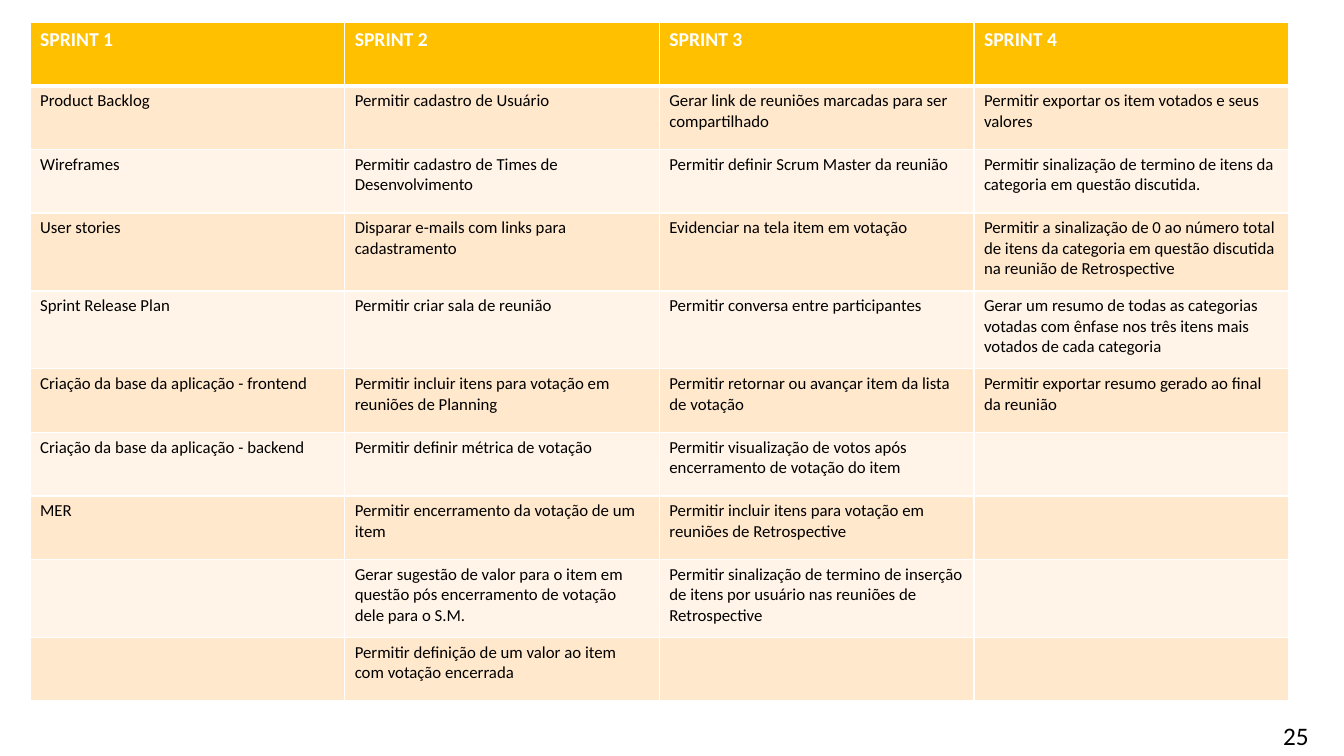
"""Build a slide with the sprint backlog table."""
from itertools import zip_longest

from pptx import Presentation
from pptx.dml.color import RGBColor
from pptx.enum.text import PP_ALIGN as Align
from pptx.oxml import parse_xml
from pptx.oxml.ns import nsdecls
from pptx.util import Pt

SPRINTS = {
    "SPRINT 1": [
        "Product Backlog",
        "Wireframes",
        "User stories",
        "Sprint Release Plan",
        "Criação da base da aplicação - frontend",
        "Criação da base da aplicação - backend",
        "MER",
    ],
    "SPRINT 2": [
        "Permitir cadastro de Usuário",
        "Permitir cadastro de Times de Desenvolvimento",
        "Disparar e-mails com links para cadastramento",
        "Permitir criar sala de reunião",
        "Permitir incluir itens para votação em reuniões de Planning",
        "Permitir definir métrica de votação",
        "Permitir encerramento da votação de um item",
        "Gerar sugestão de valor para o item em questão pós encerramento de votação dele para o S.M.",
        "Permitir definição de um valor ao item com votação encerrada",
    ],
    "SPRINT 3": [
        "Gerar link de reuniões marcadas para ser compartilhado",
        "Permitir definir Scrum Master da reunião",
        "Evidenciar na tela item em votação",
        "Permitir conversa entre participantes",
        "Permitir retornar ou avançar item da lista de votação",
        "Permitir visualização de votos após encerramento de votação do item",
        "Permitir incluir itens para votação em reuniões de Retrospective",
        "Permitir sinalização de termino de inserção de itens por usuário nas reuniões de Retrospective",
    ],
    "SPRINT 4": [
        "Permitir exportar os item votados e seus valores",
        "Permitir sinalização de termino de itens da categoria em questão discutida.",
        "Permitir a sinalização de 0 ao número total de itens da categoria em questão discutida "
        "na reunião de Retrospective",
        "Gerar um resumo de todas as categorias votadas com ênfase nos três itens mais votados "
        "de cada categoria",
        "Permitir exportar resumo gerado ao final da reunião",
    ],
}
PAGE_NUMBER = "25"

FONT = "Calibri"
WHITE = RGBColor(0xFF, 0xFF, 0xFF)
BLACK = RGBColor(0x00, 0x00, 0x00)
AMBER = RGBColor(0xFF, 0xC0, 0x00)
BANDS = [RGBColor(0xFF, 0xF4, 0xE7), RGBColor(0xFF, 0xE8, 0xCC)]

TABLE_LEFT, TABLE_TOP, COLUMN_WIDTH = 21.5, 16, 224.75
ROW_HEIGHT, TALL_ROW_HEIGHT = 45.4, 55.7
TALL_ROWS = {3, 4, 8}


def style_text(text_frame, size, color, bold=False):
    for paragraph in text_frame.paragraphs:
        for run in paragraph.runs:
            run.font.name = FONT
            run.font.size = Pt(size)
            run.font.bold = bold
            run.font.color.rgb = color


def add_borders(cell, bottom_width):
    properties = cell._tc.get_or_add_tcPr()
    widths = {"lnL": 1, "lnR": 1, "lnT": 1, "lnB": bottom_width}
    for position, (side, width) in enumerate(widths.items()):
        properties.insert(position, parse_xml(
            f'<a:{side} {nsdecls("a")} w="{Pt(width)}"><a:solidFill>'
            f'<a:srgbClr val="{WHITE}"/></a:solidFill></a:{side}>'))


def add_sprint_table(slide):
    rows = [tuple(SPRINTS), *zip_longest(*SPRINTS.values(), fillvalue="")]
    heights = [TALL_ROW_HEIGHT if index in TALL_ROWS else ROW_HEIGHT
               for index in range(len(rows))]
    table = slide.shapes.add_table(
        len(rows), len(SPRINTS), Pt(TABLE_LEFT), Pt(TABLE_TOP),
        Pt(COLUMN_WIDTH * len(SPRINTS)), Pt(sum(heights))).table
    for column in table.columns:
        column.width = Pt(COLUMN_WIDTH)
    for row_index, texts in enumerate(rows):
        header = row_index == 0
        table.rows[row_index].height = Pt(heights[row_index])
        for column_index, text in enumerate(texts):
            cell = table.cell(row_index, column_index)
            cell.fill.solid()
            cell.fill.fore_color.rgb = AMBER if header else BANDS[row_index % 2]
            add_borders(cell, 3 if row_index == 0 else 1)
            cell.text_frame.text = text
            style_text(cell.text_frame, 14 if header else 12,
                       WHITE if header else BLACK, header)


def add_page_number(slide):
    text_frame = slide.shapes.add_textbox(Pt(908.6), Pt(511.2), Pt(34), Pt(29)).text_frame
    text_frame.word_wrap = True
    text_frame.text = PAGE_NUMBER
    text_frame.paragraphs[0].alignment = Align.CENTER
    style_text(text_frame, 18, BLACK)


def main():
    presentation = Presentation()
    presentation.slide_width, presentation.slide_height = Pt(960), Pt(540)
    slide = presentation.slides.add_slide(presentation.slide_layouts[6])
    add_sprint_table(slide)
    add_page_number(slide)
    presentation.save("out.pptx")


if __name__ == "__main__":
    main()
